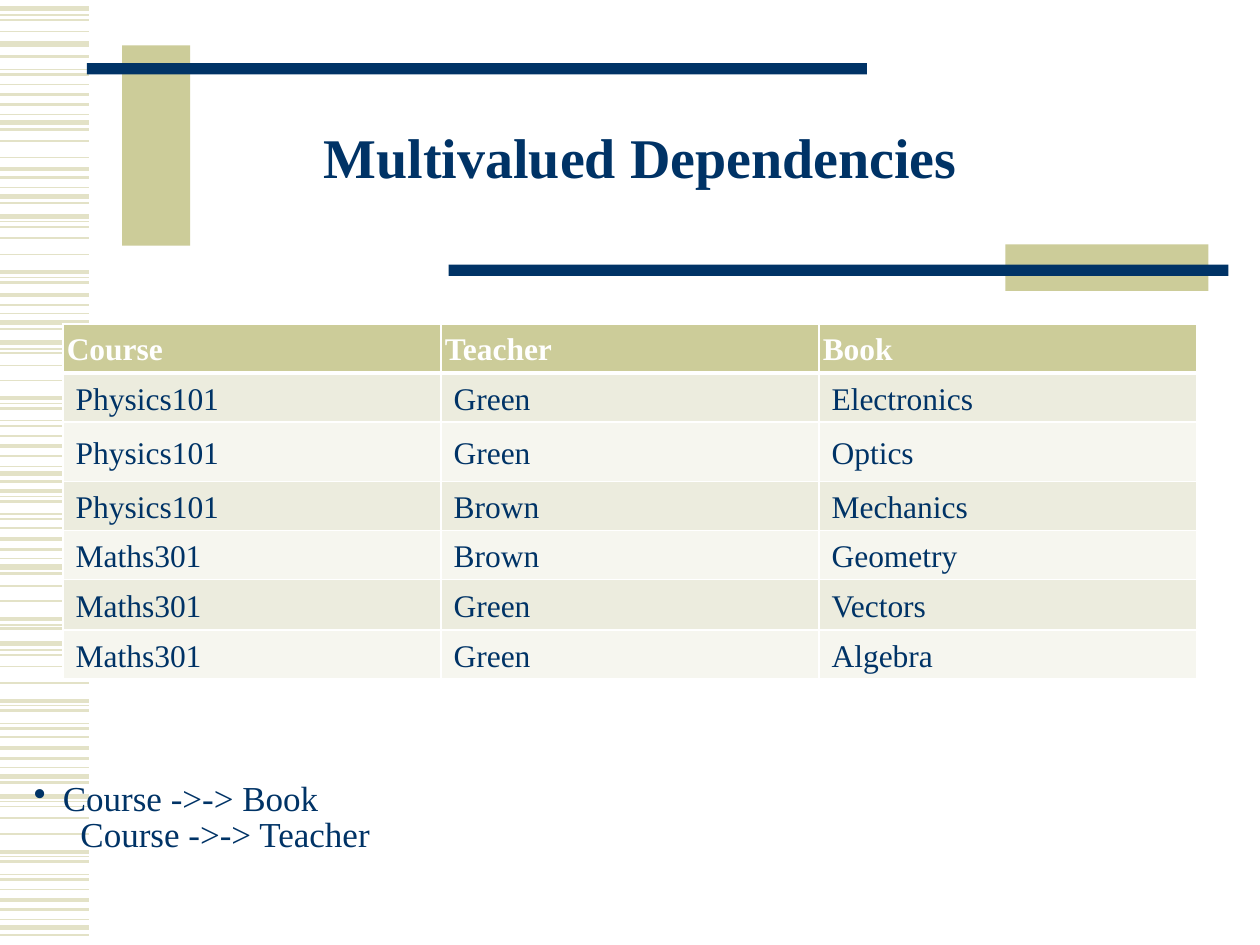
import pptx
import pptx.util
import pptx.dml.color
import pptx.enum.shapes
import pptx.enum.text
from lxml import etree
from pptx.oxml.ns import qn

Inches, Pt = pptx.util.Inches, pptx.util.Pt
MIDDLE = pptx.enum.text.MSO_ANCHOR.MIDDLE
CENTER = pptx.enum.text.PP_ALIGN.CENTER

NAVY, OLIVE, PALE, WHITE = "003366", "CCCC99", "E3E2C7", "FFFFFF"
BANDS = ["ECECDE", "F6F6EF"]
FONT = "Times New Roman"

TITLE = "Multivalued Dependencies"
ROWS = [
    ("Course", "Teacher", "Book"),
    ("Physics101", "Green", "Electronics"),
    ("Physics101", "Green", "Optics"),
    ("Physics101", "Brown", "Mechanics"),
    ("Maths301", "Brown", "Geometry"),
    ("Maths301", "Green", "Vectors"),
    ("Maths301", "Green", "Algebra"),
]
ROW_HEIGHTS = [0.39, 0.39, 0.47, 0.39, 0.39, 0.4, 0.39]
COLUMN_WIDTH = 3
# (text, left margin, hanging indent, bullet)
DEPENDENCIES = [
    ("Course ->-> Book", 0.23, -0.23, "•"),
    ("Course ->-> Teacher", 0.37, 0, None),
]

# Heights of the margin stripes, by line width in points
STRIPE_LENGTH = 0.71
STRIPES = {
    0.75: [0.12, 0.55, 0.91, 1.49, 1.76, 2.2, 2.49, 2.77, 3.2, 3.34, 3.7, 3.94,
           4.08, 4.43, 4.96, 5.16, 5.6, 5.74, 6.09, 6.36, 6.8, 6.94, 7.3],
    1: [0.16, 0.25, 0.67, 1.12, 1.25, 1.8, 1.89, 2.02, 2.8, 2.9, 3.02, 3.46,
        4.19, 4.65, 4.77, 5.2, 5.29, 5.42, 5.85, 6.4, 6.49, 6.62, 7.06],
    1.5: [0.45, 0.59, 0.83, 1.03, 1.41, 1.61, 2.24, 2.42, 2.61, 3.24, 3.38,
          3.62, 3.82, 3.98, 4.12, 4.36, 4.55, 4.99, 5.64, 5.78, 6.02, 6.21,
          6.84, 6.98, 7.22, 7.42],
    2.25: [0.75, 1.34, 2.16, 2.34, 3.16, 3.54, 3.9, 4.28, 4.91, 5.56, 5.94,
           6.76, 7.14],
    3: [0.07, 0.35, 0.97, 1.56, 1.72, 2.56, 2.72, 3.76, 4.5, 5.11, 6.16, 6.32,
        7.36],
}
BARS = [
    (0.97, 0.36, 0.54, 1.59, OLIVE),
    (0.69, 0.5, 6.19, 0.09, NAVY),
    (7.98, 1.94, 1.61, 0.37, OLIVE),
    (3.56, 2.1, 6.19, 0.09, NAVY),
]


def color(value):
    return pptx.dml.color.RGBColor.from_string(value)


def style(para, size, value, bold=False):
    para.font.name, para.font.size, para.font.bold = FONT, Pt(size), bold
    para.font.color.rgb = color(value)


def add_stripe(page, top, width):
    line = page.shapes.add_connector(
        pptx.enum.shapes.MSO_CONNECTOR.STRAIGHT,
        0, Inches(top), Inches(STRIPE_LENGTH), Inches(top))
    line.line.color.rgb, line.line.width = color(PALE), Pt(width)
    etree.SubElement(line._element.spPr, qn("a:effectLst"))


def add_bar(page, left, top, width, height, fill):
    bar = page.shapes.add_shape(
        pptx.enum.shapes.MSO_SHAPE.RECTANGLE,
        Inches(left), Inches(top), Inches(width), Inches(height))
    bar.shadow.inherit = False
    bar.fill.solid()
    bar.fill.fore_color.rgb = color(fill)
    bar.line.fill.background()


def add_text_box(page, left, top, width, height):
    box = page.shapes.add_textbox(
        Inches(left), Inches(top), Inches(width), Inches(height))
    box.text_frame.word_wrap = True
    return box.text_frame


def set_borders(cell, widths):
    properties = cell._tc.get_or_add_tcPr()
    for index, (side, width) in enumerate(widths.items()):
        border = etree.Element(qn("a:ln" + side), w=str(Pt(width)))
        fill = etree.SubElement(border, qn("a:solidFill"))
        etree.SubElement(fill, qn("a:srgbClr"), val=WHITE)
        properties.insert(index, border)


def add_table(page):
    table = page.shapes.add_table(
        len(ROWS), len(ROWS[0]), Inches(0.5), Inches(2.57),
        Inches(COLUMN_WIDTH * len(ROWS[0])), Inches(sum(ROW_HEIGHTS))).table
    for column in table.columns:
        column.width = Inches(COLUMN_WIDTH)
    for r, (texts, height) in enumerate(zip(ROWS, ROW_HEIGHTS)):
        table.rows[r].height = Inches(height)
        header = r == 0
        for c, text in enumerate(texts):
            cell = table.cell(r, c)
            cell.text = text
            cell.vertical_anchor = MIDDLE
            cell.margin_left = Inches(0.03 if header else 0.1)
            cell.margin_top = Inches(0.06)
            cell.margin_right = cell.margin_bottom = Inches(0.03)
            cell.fill.solid()
            cell.fill.fore_color.rgb = color(OLIVE if header else BANDS[(r - 1) % 2])
            style(cell.text_frame.paragraphs[0], 18, WHITE if header else NAVY, header)
            set_borders(cell, {"L": 1, "R": 1, "T": 3 if r == 1 else 1,
                               "B": 3 if header else 1})


def add_dependencies(page):
    frame = add_text_box(page, 0.17, 5.75, 9.67, 1.5)
    frame.vertical_anchor = MIDDLE
    frame.text = "\n".join(item[0] for item in DEPENDENCIES)
    for para, (_, margin, indent, bullet) in zip(frame.paragraphs, DEPENDENCIES):
        para.line_spacing = 0.85
        style(para, 20, NAVY)
        properties = para._p.get_or_add_pPr()
        properties.set("marL", str(Inches(margin)))
        properties.set("indent", str(Inches(indent)))
        if bullet:
            mark = etree.Element(qn("a:buChar"), char=bullet)
            properties.find(qn("a:defRPr")).addprevious(mark)


def main():
    deck = pptx.Presentation()
    deck.slide_width, deck.slide_height = Inches(10), Inches(7.5)
    page = deck.slides.add_slide(deck.slide_layouts[6])

    # Background decoration
    for width, tops in STRIPES.items():
        for top in tops:
            add_stripe(page, top, width)
    for bar in BARS:
        add_bar(page, *bar)

    # Content
    add_dependencies(page)
    add_table(page)
    title = add_text_box(page, 1.42, 0.92, 7.33, 0.64)
    title.text = TITLE
    title.paragraphs[0].alignment = CENTER
    style(title.paragraphs[0], 32, NAVY, True)

    deck.save("out.pptx")


if __name__ == "__main__":
    main()
